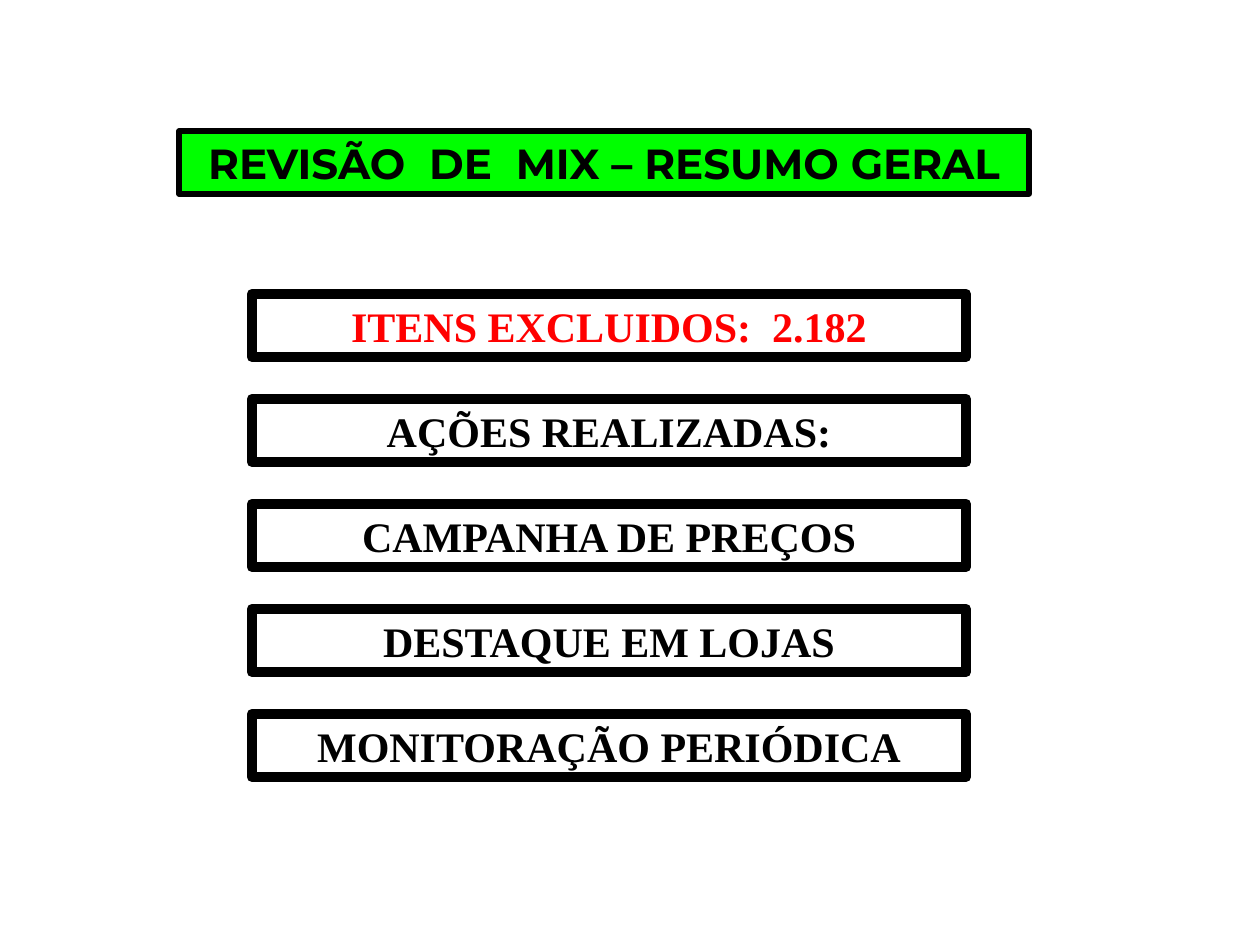
from dataclasses import dataclass

from pptx import Presentation
from pptx.dml.color import RGBColor
from pptx.enum.shapes import MSO_SHAPE as Shape
from pptx.enum.text import MSO_ANCHOR as Anchor, PP_ALIGN as Align
from pptx.util import Emu, Pt


@dataclass(frozen=True)
class Theme:
    """Colours, fonts and sizes of the slide."""
    black: RGBColor = RGBColor(0, 0, 0)
    red: RGBColor = RGBColor(255, 0, 0)
    green: RGBColor = RGBColor(0, 255, 0)
    title_font: str = "Montserrat"
    item_font: str = "Times New Roman"
    text_size: int = 24
    title_border: int = 3
    item_border: int = 6


THEME = Theme()
PX_PER_INCH = 126
TITLE = "REVISÃO  DE  MIX – RESUMO GERAL"
ITEMS = (
    ("ITENS EXCLUIDOS:  2.182", THEME.red),
    ("AÇÕES REALIZADAS:", THEME.black),
    ("CAMPANHA DE PREÇOS", THEME.black),
    ("DESTAQUE EM LOJAS", THEME.black),
    ("MONITORAÇÃO PERIÓDICA", THEME.black),
)
ITEM_LEFT, ITEM_TOP, ITEM_WIDTH, BOX_HEIGHT, ITEM_PITCH = 252, 294, 714, 63, 105


def px(length):
    """Turn pixels into EMU."""
    return Emu(round(length * 914400 / PX_PER_INCH))


def add_box(slide, left, top, width, border, wording, font_name, color, anchor):
    """Add a bordered, unfilled box with one centred bold line."""
    box = slide.shapes.add_shape(
        Shape.RECTANGLE, px(left), px(top), px(width), px(BOX_HEIGHT))
    box.shadow.inherit = False
    box.fill.background()
    box.line.color.rgb = THEME.black
    box.line.width = Pt(border)
    frame = box.text_frame
    frame.word_wrap = True
    frame.vertical_anchor = anchor
    label = frame.paragraphs[0]
    label.text = wording
    label.alignment = Align.CENTER
    label.font.name = font_name
    label.font.size = Pt(THEME.text_size)
    label.font.bold = True
    label.font.color.rgb = color
    return box


def add_title(slide):
    """Add the green title banner."""
    banner = add_box(slide, 179, 131, 850, THEME.title_border, TITLE,
                     THEME.title_font, THEME.black, Anchor.TOP)
    banner.fill.solid()
    banner.fill.fore_color.rgb = THEME.green


def add_items(slide):
    """Stack the summary boxes at an equal pitch."""
    for row, (wording, color) in enumerate(ITEMS):
        add_box(slide, ITEM_LEFT, ITEM_TOP + row * ITEM_PITCH, ITEM_WIDTH,
                THEME.item_border, wording, THEME.item_font, color, Anchor.BOTTOM)


def main():
    """Build and save the slide."""
    deck = Presentation()
    deck.slide_width, deck.slide_height = px(1260), px(945)
    slide = deck.slides.add_slide(deck.slide_layouts[6])
    add_title(slide)
    add_items(slide)
    deck.save("out.pptx")


if __name__ == "__main__":
    main()
